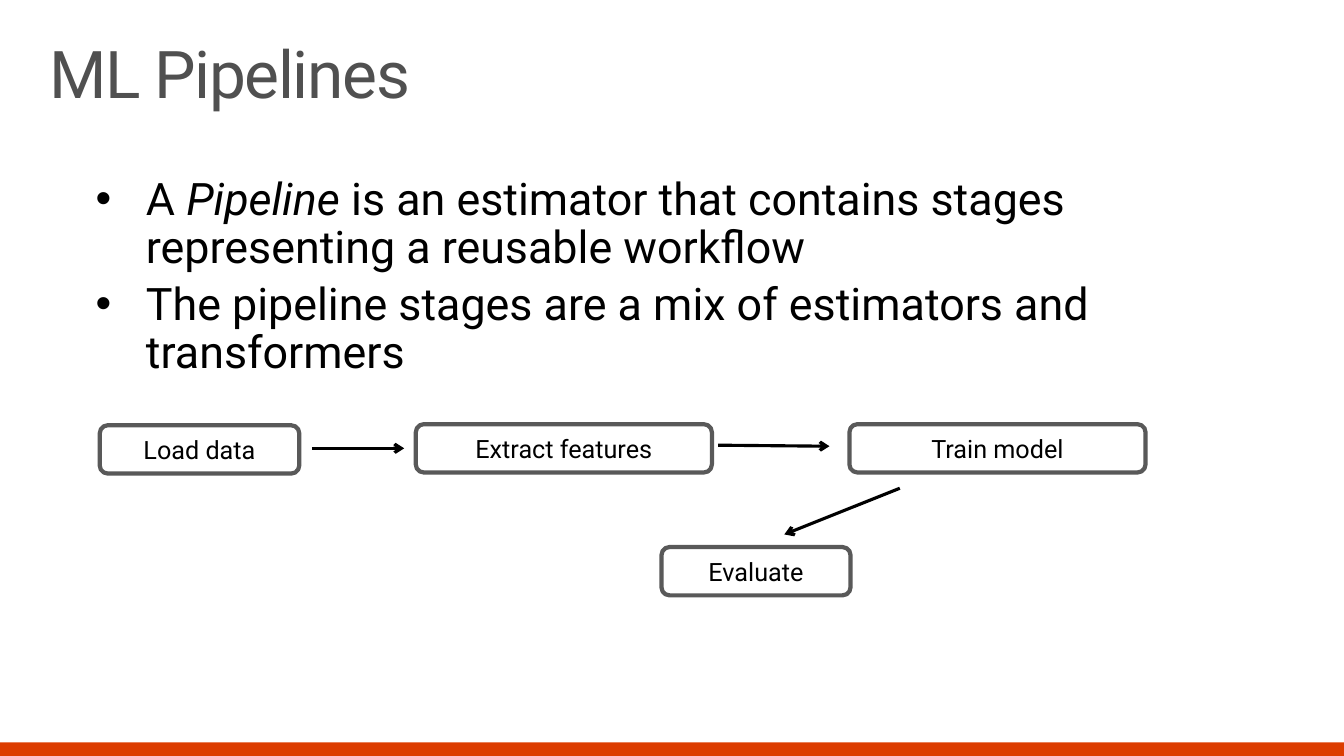
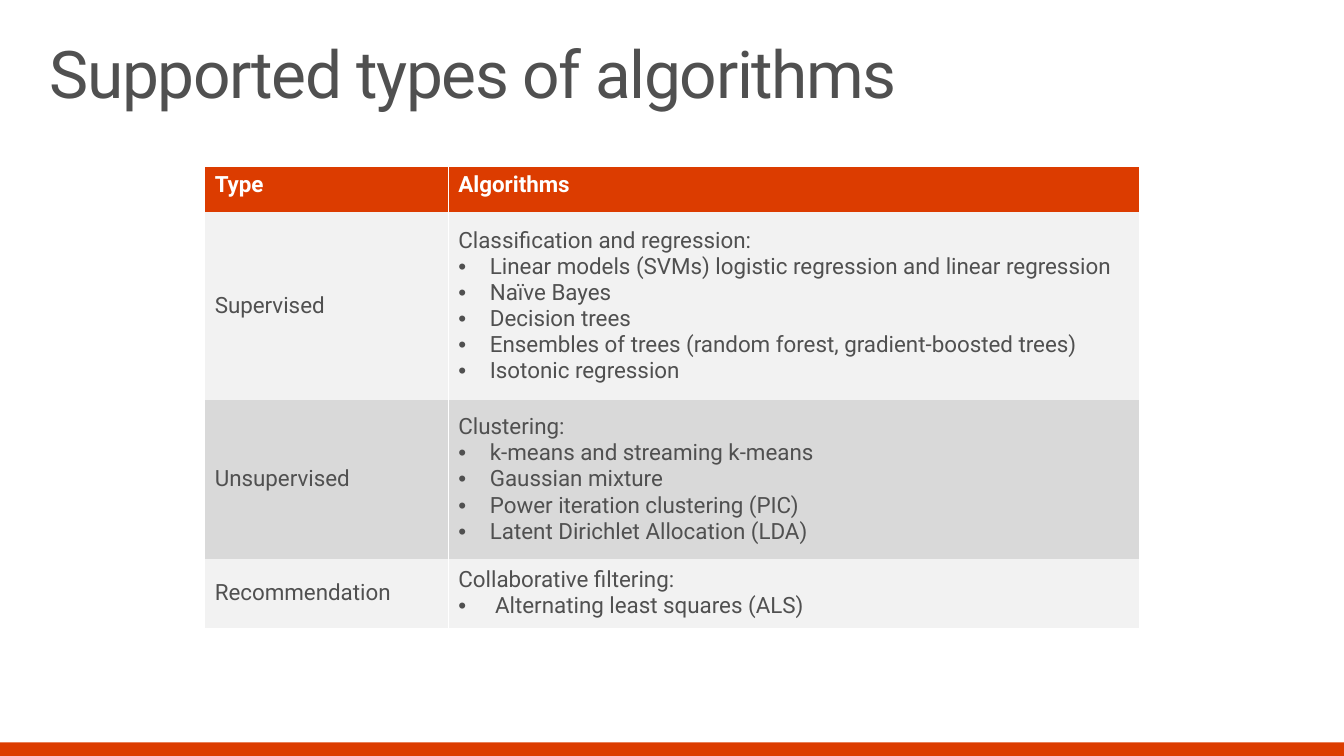
"""Builds two slides on pipelines and the supported types of algorithms."""
from lxml import etree
from pptx import Presentation
from pptx.dml.color import RGBColor
from pptx.enum.shapes import MSO_CONNECTOR, MSO_SHAPE
from pptx.enum.text import MSO_ANCHOR, PP_ALIGN
from pptx.oxml.ns import qn
from pptx.util import Pt

RECT, ROUND = MSO_SHAPE.RECTANGLE, MSO_SHAPE.ROUNDED_RECTANGLE
STRAIGHT = MSO_CONNECTOR.STRAIGHT
TOP, MIDDLE = MSO_ANCHOR.TOP, MSO_ANCHOR.MIDDLE
LEFT, CENTER = PP_ALIGN.LEFT, PP_ALIGN.CENTER

ORANGE = RGBColor(0xDC, 0x3C, 0x00)
GRAY = RGBColor(0x50, 0x50, 0x50)
EDGE = RGBColor(0x59, 0x59, 0x59)
BLACK = RGBColor(0, 0, 0)
WHITE = RGBColor(0xFF, 0xFF, 0xFF)
LIGHT = RGBColor(0xF2, 0xF2, 0xF2)
DARK = RGBColor(0xD9, 0xD9, 0xD9)

SCALE = 9525
WIDTH, HEIGHT = 1280, 720
BAND = (0, 707, WIDTH, 13)
TITLE = (0, 30, 1252, 97)
BODY = (72, 153, 1179, 527)
NO_STYLE = "{2D5ABB26-0587-4C30-8999-92F81FD0307C}"

HEAD = {"size": Pt(47), "color": GRAY}
POINT = {"size": Pt(32), "color": BLACK}
LABEL = {"size": Pt(18), "color": BLACK}
TOPROW = {"size": Pt(16), "color": WHITE, "bold": True}
CELL = {"size": Pt(16), "color": GRAY}

POINTS = [
    [("A ", False), ("Pipeline", True),
     (" is an estimator that contains stages representing a reusable workflow",
      False)],
    [("The pipeline stages are a mix of estimators and transformers", False)],
]
STEPS = [
    ("Load data", 95, 405, 190),
    ("Extract features", 396, 404, 282),
    ("Train model", 809, 404, 282),
    ("Evaluate", 630, 521, 180),
]
STEP_H = 46
ARROWS = [(297, 427, 385, 427), (684, 424, 790, 425), (857, 465, 747, 509)]

GRID = (195, 159)
COLS = (232, 658)
ROWS = (43, 179, 151, 66)
NAMES = ("Type", "Algorithms")
TYPES = [
    ("Supervised", "Classification and regression:", 30, [
        "Linear models (SVMs) logistic regression and linear regression",
        "Naïve Bayes",
        "Decision trees",
        "Ensembles of trees (random forest, gradient-boosted trees)",
        "Isotonic regression"]),
    ("Unsupervised", "Clustering:", 30, [
        "k-means and streaming k-means",
        "Gaussian mixture",
        "Power iteration clustering (PIC)",
        "Latent Dirichlet Allocation (LDA)"]),
    ("Recommendation", "Collaborative filtering:", 35, [
        "Alternating least squares (ALS)"]),
]


def px(*nums):
    return [num * SCALE for num in nums]


def node(parent, tag, **attrs):
    return etree.SubElement(parent, qn(tag), attrs)


def write(para, text, style, **extra):
    run = para.add_run()
    run.text = text
    run.font.name = "Roboto"
    for key, value in {**style, **extra}.items():
        if key == "color":
            run.font.color.rgb = value
        else:
            setattr(run.font, key, value)
    return run


def bullet(para, indent):
    props = para._p.get_or_add_pPr()
    props.set("marL", str(indent * SCALE))
    props.set("indent", str(-indent * SCALE))
    node(props, "a:buFont", typeface="Arial")
    node(props, "a:buChar", char="•")


def setup(frame, anchor, *pads):
    frame.word_wrap = True
    frame.vertical_anchor = anchor
    for side, pad in zip(("left", "top", "right", "bottom"), px(*pads)):
        setattr(frame, "margin_" + side, pad)


def start(deck, text):
    slide = deck.slides.add_slide(deck.slide_layouts[5])
    band = slide.shapes.add_shape(RECT, *px(*BAND))
    band.shadow.inherit = False
    band.fill.solid()
    band.fill.fore_color.rgb = ORANGE
    band.line.fill.background()
    title = slide.shapes.title
    title.left, title.top, title.width, title.height = px(*TITLE)
    setup(title.text_frame, TOP, 47, 10, 15, 10)
    para = title.text_frame.paragraphs[0]
    para.alignment = LEFT
    para.line_spacing = 0.9
    run = write(para, text, HEAD)
    run._r.get_or_add_rPr().set("spc", "-100")
    return slide.shapes


def add_body(shapes):
    frame = shapes.add_textbox(*px(*BODY)).text_frame
    setup(frame, TOP, 19, 15, 19, 15)
    for index, runs in enumerate(POINTS):
        para = frame.add_paragraph() if index else frame.paragraphs[0]
        bullet(para, 48)
        para.line_spacing = 0.9
        para.space_after = Pt(6)
        for text, slant in runs:
            write(para, text, POINT, italic=slant)


def add_flow(shapes):
    for text, left, top, width in STEPS:
        box = shapes.add_shape(ROUND, *px(left, top, width, STEP_H))
        box.shadow.inherit = False
        box.fill.background()
        box.line.color.rgb = EDGE
        box.line.width = Pt(3)
        setup(box.text_frame, MIDDLE, 12, 7, 12, 7)
        para = box.text_frame.paragraphs[0]
        para.alignment = CENTER
        write(para, text, LABEL)
    for ends in ARROWS:
        arrow = shapes.add_connector(STRAIGHT, *px(*ends))
        arrow.line.color.rgb = BLACK
        arrow.line.width = Pt(2.25)
        node(arrow.line._get_or_add_ln(), "a:tailEnd", type="arrow")
        node(arrow._element.spPr, "a:effectLst")


def fill_cell(cell, fill, anchor, style, text, indent=0, items=()):
    props = cell._tc.get_or_add_tcPr()
    for side in ("a:lnL", "a:lnR"):
        solid = node(node(props, side, w=str(Pt(1))), "a:solidFill")
        node(solid, "a:srgbClr", val=str(WHITE))
    cell.fill.solid()
    cell.fill.fore_color.rgb = fill
    cell.vertical_anchor = anchor
    frame = cell.text_frame
    write(frame.paragraphs[0], text, style)
    for item in items:
        para = frame.add_paragraph()
        bullet(para, indent)
        write(para, item, style)


def add_grid(shapes):
    size = px(*GRID, sum(COLS), sum(ROWS))
    table = shapes.add_table(len(ROWS), len(COLS), *size).table
    table._tbl.tblPr.find(qn("a:tableStyleId")).text = NO_STYLE
    for col, width in zip(table.columns, px(*COLS)):
        col.width = width
    for row, height in zip(table.rows, px(*ROWS)):
        row.height = height
    for col, name in enumerate(NAMES):
        fill_cell(table.cell(0, col), ORANGE, TOP, TOPROW, name)
    for row, (kind, lead, indent, items) in enumerate(TYPES, 1):
        fill = LIGHT if row % 2 else DARK
        fill_cell(table.cell(row, 0), fill, MIDDLE, CELL, kind)
        fill_cell(table.cell(row, 1), fill, MIDDLE, CELL, lead, indent, items)


def main():
    deck = Presentation()
    deck.slide_width, deck.slide_height = px(WIDTH, HEIGHT)
    shapes = start(deck, "ML Pipelines")
    add_body(shapes)
    add_flow(shapes)
    add_grid(start(deck, "Supported types of algorithms"))
    deck.save("out.pptx")


if __name__ == "__main__":
    main()
